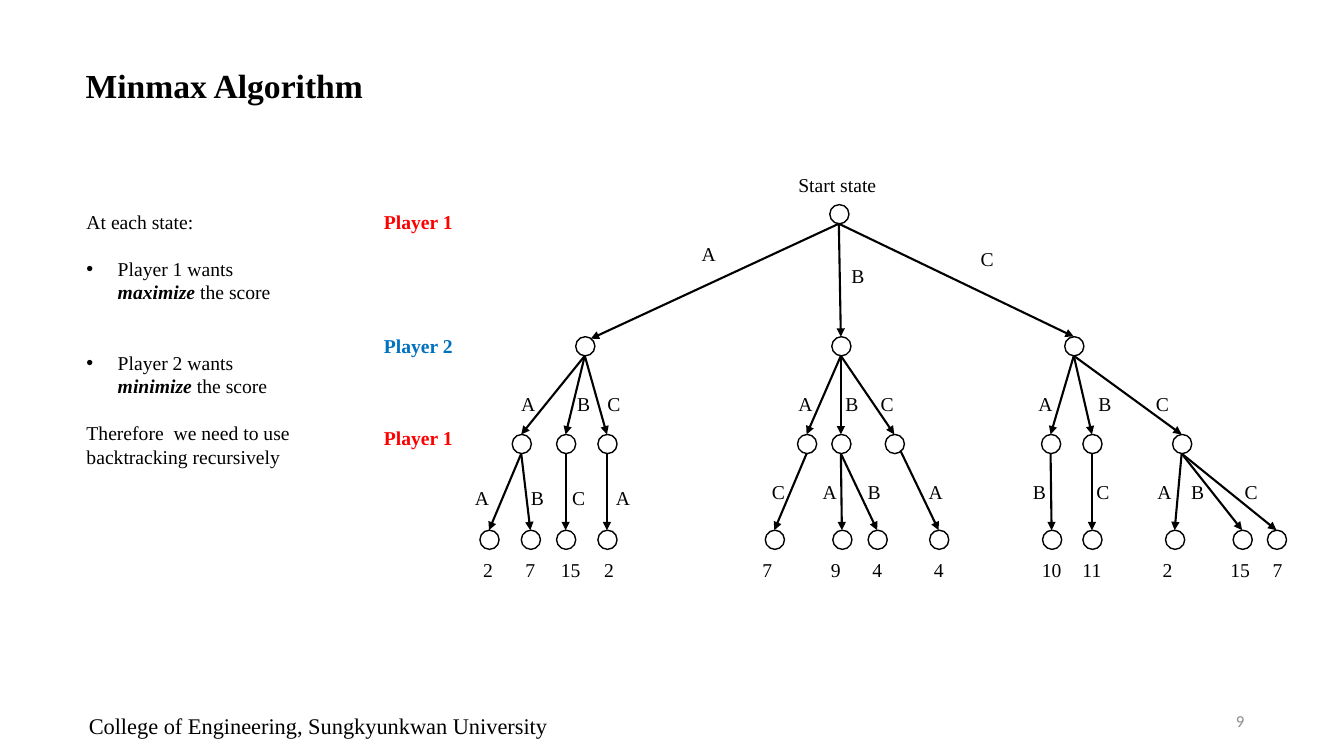
import lxml.etree
import pptx
import pptx.dml.color
import pptx.enum.shapes
import pptx.enum.text
import pptx.oxml.ns
import pptx.util

PX = 9144  # EMU in one px, 100 px to the inch
ALIGN = pptx.enum.text.PP_ALIGN
qn = pptx.oxml.ns.qn

THEME = {
    "font": "Times New Roman", "number_font": "Calibri",
    "black": "000000", "white": "FFFFFF", "grey": "8C8C8C",
    "red": "FF0000", "blue": "0070C0",
    "title": 24, "footer": 16, "body": 14, "number": 12,
    "outline": 1, "edge": 1.5, "line_pitch": 16.8,
}


def add_frame(left, top, width, height, wrap=True):
    """Add an empty text box and return its text frame."""
    box = page.shapes.add_textbox(left * PX, top * PX, width * PX, height * PX)
    box.text_frame.word_wrap = wrap
    return box.text_frame


def write(para, text, size="body", color="black", font="font",
          bold=False, italic=False, align=ALIGN.CENTER):
    para.alignment = align
    span = para.add_run()
    span.text = text
    span.font.name = THEME[font]
    span.font.size = pptx.util.Pt(THEME[size])
    span.font.color.rgb = pptx.dml.color.RGBColor.from_string(THEME[color])
    span.font.bold = bold
    span.font.italic = italic


deck = pptx.Presentation()
deck.slide_width = 1333 * PX
deck.slide_height = 750 * PX
page = deck.slides.add_slide(deck.slide_layouts[5])

# Title, footer and page number
title = page.shapes.title
title.left, title.top, title.width, title.height = 75 * PX, 59 * PX, 298 * PX, 50 * PX
title.text_frame.word_wrap = False
title.text_frame.auto_size = pptx.enum.text.MSO_AUTO_SIZE.NONE
title.text_frame.vertical_anchor = pptx.enum.text.MSO_ANCHOR.TOP
write(title.text_frame.paragraphs[0], "Minmax Algorithm", size="title", bold=True, align=ALIGN.LEFT)

footer = add_frame(75, 702, 481, 37, wrap=False)
write(footer.paragraphs[0], "College of Engineering, Sungkyunkwan University", size="footer")

number = add_frame(944, 695, 300, 40)
number.vertical_anchor = pptx.enum.text.MSO_ANCHOR.MIDDLE
write(number.paragraphs[0], "9", size="number", color="grey", font="number_font", align=ALIGN.RIGHT)

# Explanation: lines of space before, bullet or not, spans with an emphasis flag
EXPLANATION = [
    (0, False, [("At each state:", False)]),
    (1, True, [("Player 1 wants ", False), ("maximize", True), (" the score", False)]),
    (2, True, [("Player 2 wants ", False), ("minimize", True), (" the score", False)]),
    (1, False, [("Therefore  we need to use backtracking recursively", False)]),
]
explanation = add_frame(76, 203, 226, 364)
for index, (gap, bulleted, spans) in enumerate(EXPLANATION):
    para = explanation.paragraphs[0] if index == 0 else explanation.add_paragraph()
    para.line_spacing = pptx.util.Pt(THEME["line_pitch"])
    para.space_before = pptx.util.Pt(THEME["line_pitch"] * gap)
    for text, emphasis in spans:
        write(para, text, bold=emphasis, italic=emphasis, align=ALIGN.LEFT)
    if bulleted:
        properties = para._p.get_or_add_pPr()
        properties.set("marL", str(31 * PX))
        properties.set("indent", str(-31 * PX))
        lxml.etree.SubElement(properties, qn("a:buFont"), typeface="Arial")
        lxml.etree.SubElement(properties, qn("a:buChar"), char="•")

# Whose turn it is on each level
for top, player, color in [(203, "Player 1", "red"), (326, "Player 2", "blue"), (418, "Player 1", "red")]:
    write(add_frame(358, top, 114, 34).paragraphs[0], player, color=color, bold=True)
write(add_frame(767, 167, 127, 34).paragraphs[0], "Start state")

# Game tree: the key is the sequence of moves, so its last letter labels the
# edge and the rest is the parent. Values: node centre x, label left, label top
NODE_SIZE = 19
LEVEL_TOPS = [203, 334, 431, 526]
NODES = {
    "": (832, None, None),
    "A": (580, 666, 235), "B": (834, 814, 257), "C": (1065, 942, 240),
    "AA": (517, 487, 384), "AB": (561, 542, 384), "AC": (602, 572, 384),
    "BA": (800, 762, 384), "BB": (834, 808, 384), "BC": (887, 843, 384),
    "CA": (1042, 1000, 384), "CB": (1083, 1059, 384), "CC": (1172, 1116, 384),
    "AAA": (485, 441, 477), "AAB": (526, 496, 477), "ABC": (561, 537, 477), "ACA": (602, 581, 477),
    "BAC": (768, 735, 471), "BBA": (835, 786, 471), "BBB": (870, 830, 471), "BCA": (931, 891, 471),
    "CAB": (1043, 994, 471), "CBC": (1083, 1057, 471),
    "CCA": (1165, 1118, 471), "CCB": (1232, 1151, 471), "CCC": (1266, 1204, 471),
}
# Edges that touch a circle beside its top or bottom: shift of start and end
EDGE_SHIFTS = {"A": ((0, 0), (6, 2)), "BCA": ((6, -3), (0, 0))}

for moves, (x, label_left, label_top) in NODES.items():
    top = LEVEL_TOPS[len(moves)]
    node = page.shapes.add_shape(pptx.enum.shapes.MSO_SHAPE.OVAL, (x - NODE_SIZE // 2) * PX, top * PX,
                                 NODE_SIZE * PX, NODE_SIZE * PX)
    node.shadow.inherit = False
    node.fill.solid()
    node.fill.fore_color.rgb = pptx.dml.color.RGBColor.from_string(THEME["white"])
    node.line.color.rgb = pptx.dml.color.RGBColor.from_string(THEME["black"])
    node.line.width = pptx.util.Pt(THEME["outline"])
    if not moves:
        continue

    parent_x = NODES[moves[:-1]][0]
    parent_bottom = LEVEL_TOPS[len(moves) - 1] + NODE_SIZE
    start, end = EDGE_SHIFTS.get(moves, ((0, 0), (0, 0)))
    edge = page.shapes.add_connector(
        pptx.enum.shapes.MSO_CONNECTOR.STRAIGHT,
        (parent_x + start[0]) * PX, (parent_bottom + start[1]) * PX,
        (x + end[0]) * PX, (top + end[1]) * PX)
    edge.line.color.rgb = pptx.dml.color.RGBColor.from_string(THEME["black"])
    edge.line.width = pptx.util.Pt(THEME["edge"])
    lxml.etree.SubElement(edge.line._get_or_add_ln(), qn("a:tailEnd"), type="triangle")
    lxml.etree.SubElement(edge._element.spPr, qn("a:effectLst"))
    write(add_frame(label_left, label_top, 74, 34).paragraphs[0], moves[-1])

# Scores under the leaves: centre x and value
SCORES = [
    (484, "2"), (526, "7"), (566, "15"), (604, "2"),
    (761, "7"), (829, "9"), (870, "4"), (931, "4"),
    (1043, "10"), (1083, "11"), (1158, "2"), (1230, "15"), (1267, "7"),
]
for x, score in SCORES:
    write(add_frame(x - 24, 549, 48, 34).paragraphs[0], score)

deck.save("out.pptx")
